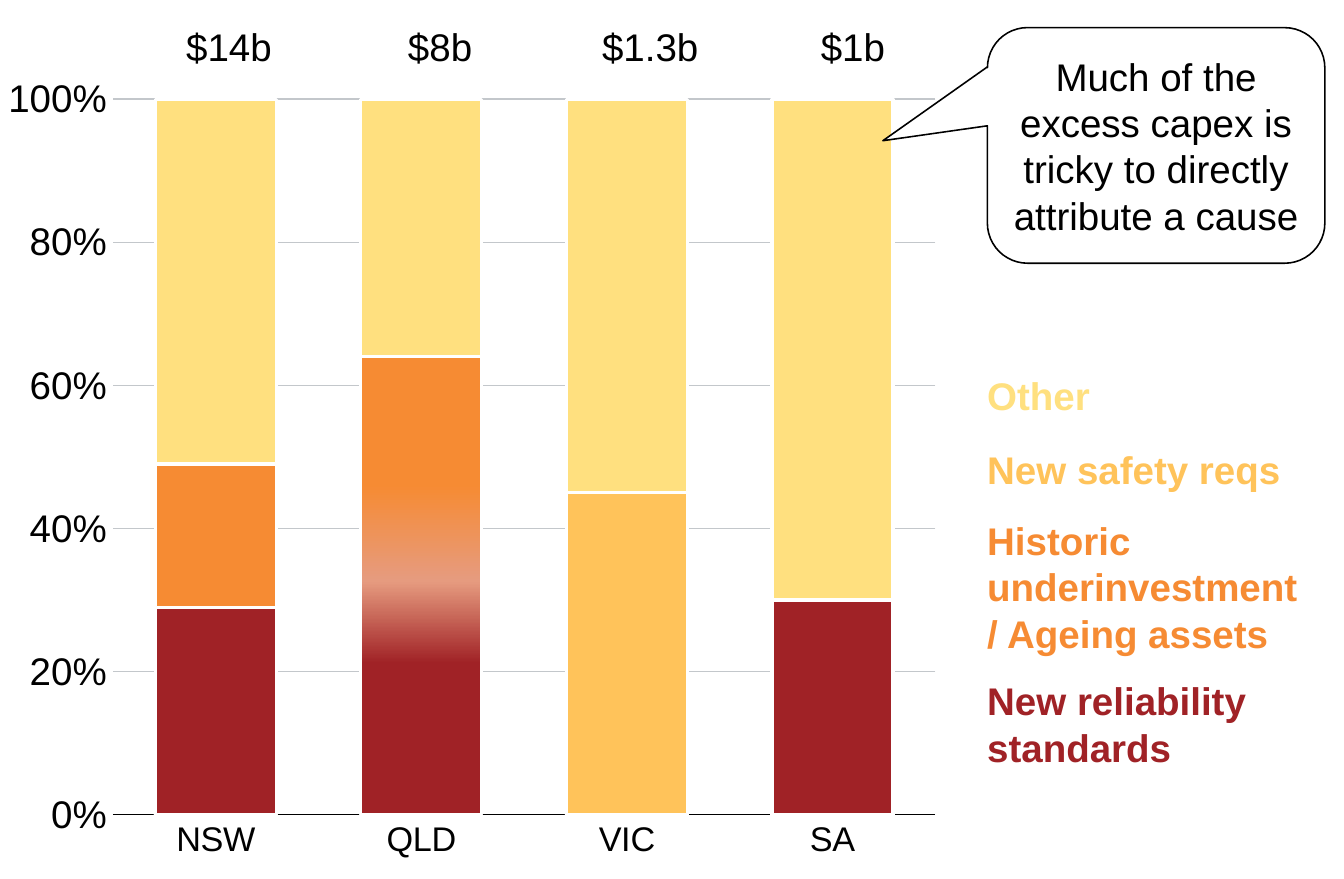
from copy import deepcopy
from lxml import etree
from pptx import Presentation, util as u
from pptx.chart import data
from pptx.dml.color import RGBColor
from pptx.enum import chart as ch, shapes, text
from pptx.oxml.ns import qn

COLOURS = {
    "reliability": "A02226",
    "blend": "E69B7F",
    "ageing": "F68B33",
    "safety": "FFC35A",
    "other": "FFE07F",
    "grid": "C3C7CB",
    "ink": "000000",
    "paper": "FFFFFF",
}
FONT = "Arial"
LEGEND_LEFT, LEGEND_WIDTH = 6.31, 2.38
LINE_HEIGHT = 0.4


def rgb(name):
    return RGBColor.from_string(COLOURS[name])


def write(box, lines, colour="ink", bold=False, align=text.PP_ALIGN.LEFT):
    frame = box.text_frame
    for i, line in enumerate(lines):
        paragraph = frame.add_paragraph() if i else frame.paragraphs[0]
        paragraph.alignment = align
        run = paragraph.add_run()
        run.text = line
        run.font.name = FONT
        run.font.size = u.Pt(18)
        run.font.bold = bold
        run.font.color.rgb = rgb(colour)


prs = Presentation()
prs.slide_width = u.Cm(22.16)
prs.slide_height = u.Cm(14.5)
slide = prs.slides.add_slide(prs.slide_layouts[6])

capex = data.CategoryChartData()
capex.categories = ["NSW", "QLD", "VIC", "SA"]
stacks = [
    ([0, 64, 0, 0], "reliability", {}),
    ([29, 0, 0, 30], "reliability", {}),
    ([20, 0, 0, 0], "reliability", {0: "ageing"}),
    ([0, 0, 45, 0], "other", {2: "safety"}),
    ([51, 36, 55, 70], "other", {}),
]
for number, (shares, _, _) in enumerate(stacks, 1):
    capex.add_series(f"Series {number}", shares)
chart = slide.shapes.add_chart(
    ch.XL_CHART_TYPE.COLUMN_STACKED_100, 0, 0, prs.slide_width, prs.slide_height, capex
).chart
chart.has_legend = False
chart.has_title = False
chart.font.name = FONT
chart.font.size = u.Pt(10)
chart.font.color.rgb = rgb("ink")

plot = chart.plots[0]
plot.gap_width, plot.overlap = 70, 100
plot.vary_by_categories = False
for series, (_, colour, exceptions) in zip(plot.series, stacks):
    series.format.fill.solid()
    series.format.fill.fore_color.rgb = rgb(colour)
    formats = [series.format]
    for index, point_colour in exceptions.items():
        point = series.points[index].format
        point.fill.solid()
        point.fill.fore_color.rgb = rgb(point_colour)
        formats.append(point)
    for style in formats:
        style.line.color.rgb = rgb("paper")
        style.line.width = u.Pt(1.5)

blended = plot.series[0]
blend = blended.format.fill
blend.gradient()
blend.gradient_angle = 90
stop_list = blended._element.find(".//" + qn("a:gsLst"))
stop_list.append(deepcopy(stop_list[0]))
steps = [(0.33, "reliability"), (0.51, "blend"), (0.72, "ageing")]
for stop, (position, colour) in zip(blend.gradient_stops, steps):
    stop.position = position
    stop.color.rgb = rgb(colour)

states, percent = chart.category_axis, chart.value_axis
for axis, size in ((states, 16), (percent, 18)):
    axis.major_tick_mark = axis.minor_tick_mark = ch.XL_TICK_MARK.NONE
    axis.tick_labels.font.name = FONT
    axis.tick_labels.font.size = u.Pt(size)
    axis.tick_labels.font.color.rgb = rgb("ink")
states.format.line.color.rgb = rgb("ink")
states.format.line.width = u.Pt(0.75)
percent.format.line.fill.background()
percent.minimum_scale, percent.maximum_scale, percent.major_unit = 0, 1, 0.2
percent.tick_labels.number_format = "0%"
percent.tick_labels.number_format_is_linked = False
percent.major_gridlines.format.line.color.rgb = rgb("grid")
percent.major_gridlines.format.line.width = u.Pt(0.75)

plot_area = chart._chartSpace.chart.plotArea
for automatic in plot_area.findall(qn("c:layout")):
    plot_area.remove(automatic)
layout = etree.Element(qn("c:layout"))
plot_area.insert(0, layout)
manual = etree.SubElement(layout, qn("c:manualLayout"))
for tag, value in [
    ("layoutTarget", "inner"), ("xMode", "edge"), ("yMode", "edge"),
    ("x", 0.084), ("y", 0.113), ("w", 0.612), ("h", 0.814),
]:
    etree.SubElement(manual, qn(f"c:{tag}")).set("val", str(value))

reasons = [
    (4.35, 0.71, ["New reliability standards"], "reliability"),
    (3.31, 1.01, ["Historic underinvestment", "/ Ageing assets"], "ageing"),
    (2.85, LINE_HEIGHT, ["New safety reqs"], "safety"),
    (2.37, LINE_HEIGHT, ["Other"], "other"),
]
for top, height, lines, colour in reasons:
    reason = slide.shapes.add_textbox(
        *map(u.Inches, (LEGEND_LEFT, top, LEGEND_WIDTH, height)))
    reason.text_frame.word_wrap = True
    write(reason, lines, colour, bold=True)
reason.width = u.Inches(0.88)
reason.text_frame.word_wrap = False

totals = [(1.11, 0.78, "$14b"), (2.55, 0.64, "$8b"), (3.81, 0.85, "$1.3b"), (5.23, 0.64, "$1b")]
for left, width, amount in totals:
    total = slide.shapes.add_textbox(*map(u.Inches, (left, 0.1, width, LINE_HEIGHT)))
    total.text_frame.word_wrap = False
    write(total, [amount])

callout = slide.shapes.add_shape(
    shapes.MSO_SHAPE.ROUNDED_RECTANGULAR_CALLOUT, *map(u.Inches, (6.41, 0.18, 2.19, 1.53)))
callout.shadow.inherit = False
for index, adjustment in enumerate((-0.81, -0.02, 0.17)):
    callout.adjustments[index] = adjustment
callout.fill.solid()
callout.fill.fore_color.rgb = rgb("paper")
callout.line.color.rgb = rgb("ink")
callout.line.width = u.Pt(0.75)
frame = callout.text_frame
frame.word_wrap = True
frame.vertical_anchor = text.MSO_ANCHOR.MIDDLE
frame.margin_left = frame.margin_right = u.Inches(0.08)
frame.margin_top = frame.margin_bottom = u.Inches(0.04)
write(callout, ["Much of the excess capex is tricky to directly attribute a cause"],
      align=text.PP_ALIGN.CENTER)

prs.save("out.pptx")
